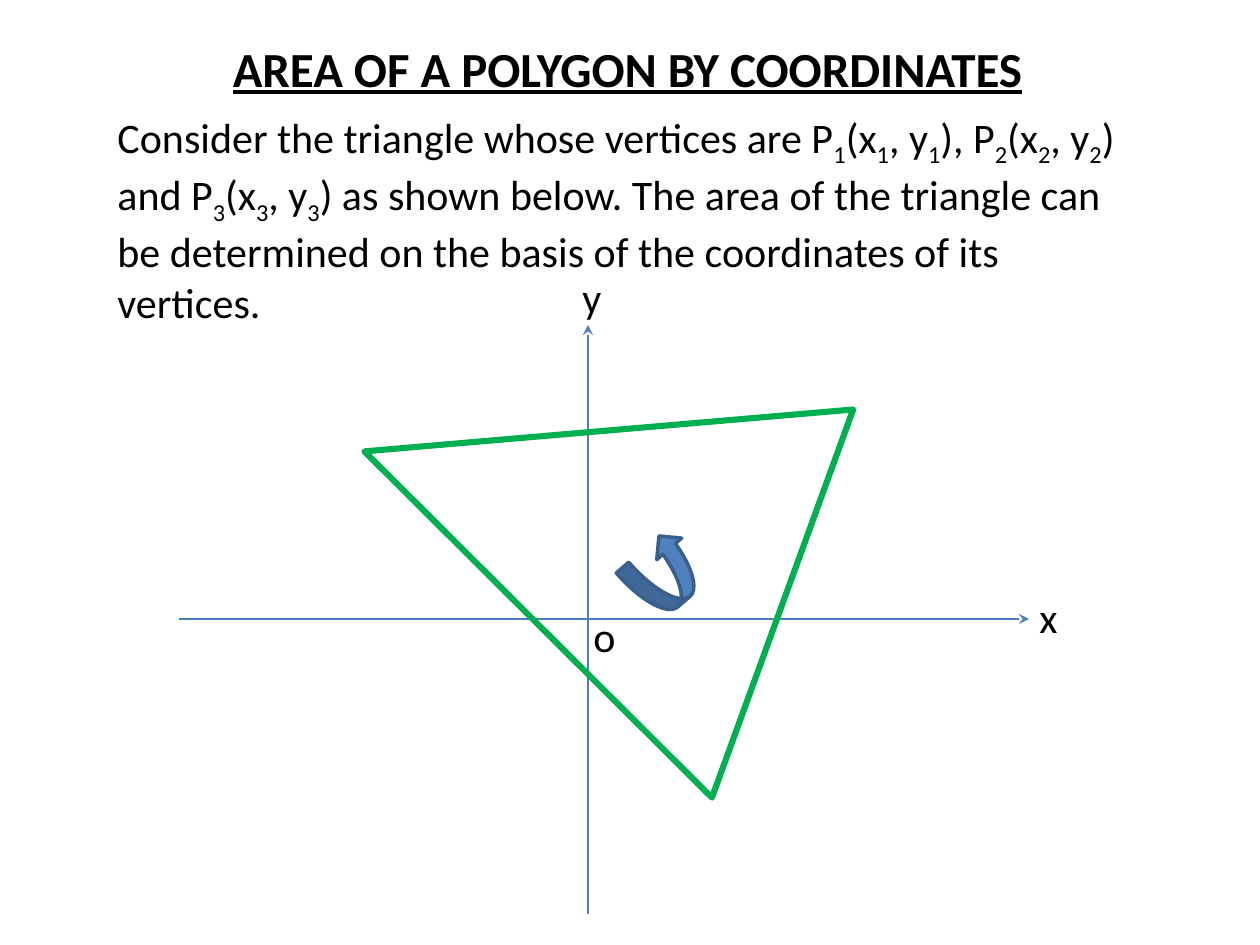
from lxml.etree import SubElement as Sub
from pptx import Presentation
from pptx.dml.color import RGBColor
from pptx.enum.shapes import MSO_CONNECTOR as Conn, MSO_SHAPE as Shape
from pptx.enum.text import MSO_ANCHOR as Anchor, MSO_AUTO_SIZE as Fit, PP_ALIGN as Align
from pptx.oxml.ns import qn
from pptx.util import Emu, Pt

SCALE = 914400 / 126
BLACK = RGBColor(0, 0, 0)
AXIS = RGBColor(0x4B, 0x7E, 0xBC)
GREEN = RGBColor(0, 0xB0, 0x50)
BLUE = RGBColor(0x4F, 0x81, 0xBD)
NAVY = RGBColor(0x3A, 0x5F, 0x8C)


def px(*nums):
    return [Emu(round(n * SCALE)) for n in nums]


def write(frame, text, size=24, bold=False, under=False, align=Align.LEFT, font="Calibri"):
    para = frame.paragraphs[0]
    para.alignment = align

    def add(part, sub=False):
        if not part:
            return
        run = para.add_run()
        run.text = part
        face = run.font
        face.name, face.size = font, Pt(size)
        face.bold, face.underline = bold, under
        face.color.rgb = BLACK
        if sub:
            run._r.get_or_add_rPr().set("baseline", "-25000")

    first, *rest = text.split("_")
    add(first)
    for part in rest:
        add(part[0], sub=True)
        add(part[1:])


class Sheet:
    def __init__(self, slide):
        self.page = slide.shapes
        self.group = None

    def begin(self):
        self.group = self.page.add_group_shape().shapes

    def text(self, box, text, **form):
        frame = self.page.add_textbox(*px(*box)).text_frame
        frame.word_wrap = True
        frame.vertical_anchor = Anchor.TOP
        write(frame, text, **form)

    def label(self, box, text):
        frame = self.group.add_textbox(*px(*box)).text_frame
        frame.word_wrap = False
        frame.auto_size = Fit.SHAPE_TO_FIT_TEXT
        write(frame, text)

    def axis(self, start, end):
        line = self.group.add_connector(Conn.STRAIGHT, *px(*start, *end))
        line.line.color.rgb = AXIS
        line.line.width = Pt(0.75)
        Sub(line.line._get_or_add_ln(), qn("a:tailEnd"), type="stealth")
        Sub(line._element.spPr, qn("a:effectLst"))

    def shape(self, kind, box, turn, color, width, fill=None):
        item = self.group.add_shape(kind, *px(*box))
        item.rotation = turn
        item.shadow.inherit = False
        item.line.color.rgb = color
        item.line.width = Pt(width)
        if fill is None:
            item.fill.background()
        else:
            item.fill.solid()
            item.fill.fore_color.rgb = fill


def main():
    deck = Presentation()
    deck.slide_width, deck.slide_height = px(1260, 945)
    sheet = Sheet(deck.slides.add_slide(deck.slide_layouts[6]))

    sheet.text((71, 32, 1113, 84), "AREA OF A POLYGON BY COORDINATES",
               size=28, bold=True, under=True, align=Align.CENTER)
    sheet.text((105, 105, 1040, 221),
               "Consider the triangle whose vertices are P_1(x_1, y_1), P_2(x_2, y_2) "
               "and P_3(x_3, y_3) as shown below. The area of the triangle can be "
               "determined on the basis of the coordinates of its vertices.")

    sheet.begin()
    sheet.axis((588, 914), (588, 325))
    sheet.axis((179, 619), (1029, 619))
    sheet.label((581, 604, 48, 63), "o")
    sheet.label((570, 265, 44, 64), "y")
    sheet.label((1027, 585, 44, 63), "x")
    sheet.shape(Shape.ISOSCELES_TRIANGLE, (367, 305, 413, 445), 290, GREEN, 3.5)
    sheet.shape(Shape.CURVED_UP_ARROW, (629, 541, 73, 66), 319.1, NAVY, 2, BLUE)

    deck.save("out.pptx")


if __name__ == "__main__":
    main()
